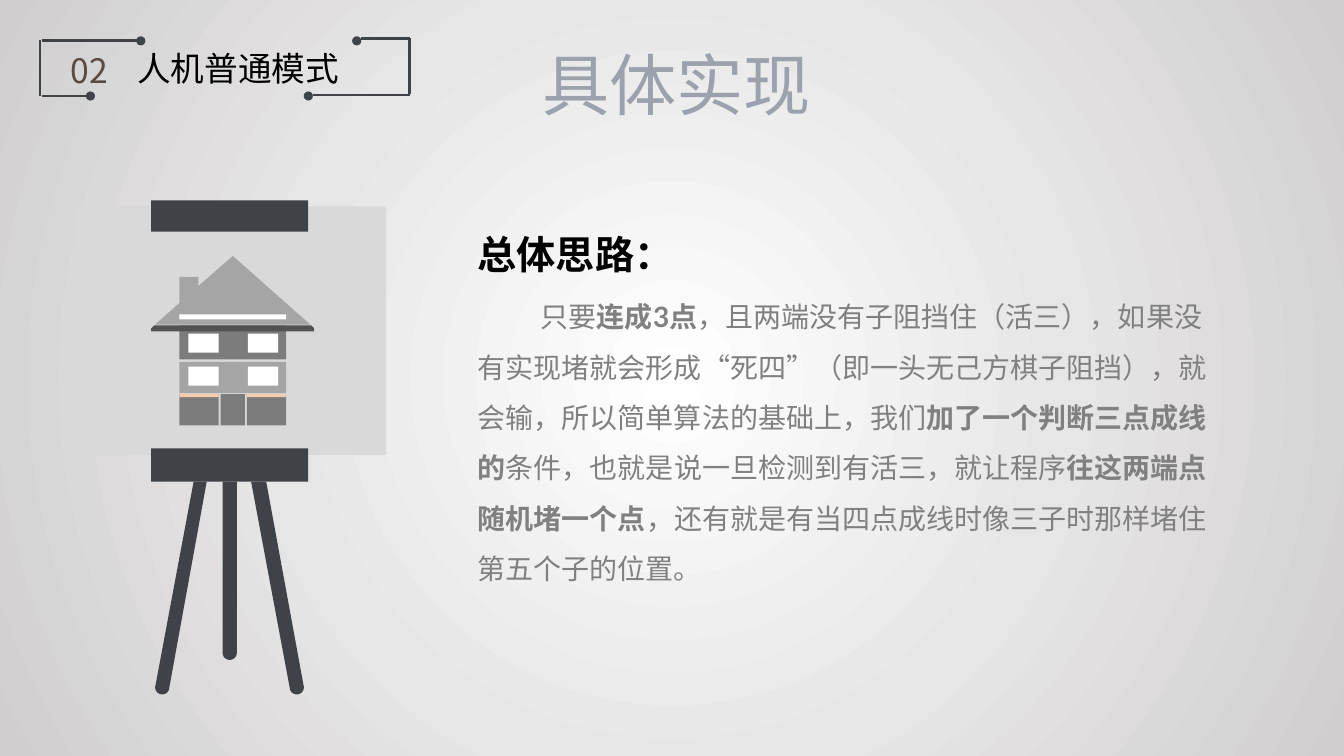
import math
from dataclasses import dataclass

import pptx
import pptx.dml.color
import pptx.enum.lang
import pptx.enum.shapes
import pptx.oxml
import pptx.oxml.ns
import pptx.util
from lxml import etree

Cm = pptx.util.Cm
Pt = pptx.util.Pt
SHAPE = pptx.enum.shapes.MSO_SHAPE


@dataclass(frozen=True)
class Theme:
    dark: str = "3F4247"
    panel: str = "D9D9D9"
    wall: str = "7C7C7C"
    light_wall: str = "A5A5A5"
    eave: str = "525252"
    trim: str = "F8CBAD"
    white: str = "FFFFFF"
    black: str = "000000"
    title: str = "9BA1AD"
    body: str = "808080"
    number: str = "594A42"
    backdrop: tuple = ((0, "FFFFFF"), (51, "E7E6E6"), (100, "D0CECE"))
    title_size: int = 48
    heading_size: int = 28
    label_size: int = 24
    body_size: int = 20
    title_font: str = "Arial"
    body_font: str = "Lato"
    label_font: str = "Noto Sans CJK SC"


T = Theme()


def rgb(color):
    return pptx.dml.color.RGBColor.from_string(color)


def paint(sp, color):
    sp.shadow.inherit = False
    sp.fill.solid()
    sp.fill.fore_color.rgb = rgb(color)
    sp.line.fill.background()
    return sp


def add_block(s, x, y, w, h, color, kind=SHAPE.RECTANGLE):
    return paint(s.shapes.add_shape(kind, Cm(x), Cm(y), Cm(w), Cm(h)), color)


def add_outline(s, x, y, points, color):
    points = [(Cm(x + px), Cm(y + py)) for px, py in points]
    builder = s.shapes.build_freeform(*points[0])
    builder.add_line_segments(points[1:], close=True)
    return paint(builder.convert_to_shape(), color)


def add_line(s, x1, y1, x2, y2):
    line = s.shapes.add_connector(
        pptx.enum.shapes.MSO_CONNECTOR.STRAIGHT, Cm(x1), Cm(y1), Cm(x2), Cm(y2))
    line.line.color.rgb = rgb(T.dark)
    line.line.width = Pt(1.5)
    etree.SubElement(line._element.spPr, pptx.oxml.ns.qn("a:effectLst"))


def add_run(p, text, size, color, font, bold=False):
    r = p.add_run()
    r.text = text
    r.font.size = Pt(size)
    r.font.bold = bold
    r.font.name = font
    r.font.color.rgb = rgb(color)
    r.font.language_id = pptx.enum.lang.MSO_LANGUAGE_ID.SIMPLIFIED_CHINESE


def add_frame(s, x, y, w, h, wrap=True):
    tf = s.shapes.add_textbox(Cm(x), Cm(y), Cm(w), Cm(h)).text_frame
    tf.word_wrap = wrap
    tf.margin_left = tf.margin_right = tf.margin_top = tf.margin_bottom = 0
    return tf


def add_background(s):
    s.background.fill.gradient()
    stops = "".join(
        f'<a:gs pos="{pos * 1000}"><a:srgbClr val="{color}"/></a:gs>'
        for pos, color in T.backdrop)
    grad = pptx.oxml.parse_xml(
        f'<a:gradFill {pptx.oxml.ns.nsdecls("a")} rotWithShape="1">'
        f'<a:gsLst>{stops}</a:gsLst><a:path path="circle">'
        '<a:fillToRect l="50000" t="50000" r="50000" b="50000"/>'
        '</a:path></a:gradFill>')
    bg_pr = s._element.cSld.bg.bgPr
    bg_pr.replace(bg_pr[0], grad)


def add_section_label(s, x, y, w, h, number, label):
    for x1, y1, x2, y2 in (
            (2.46, 0.05, 0.05, 0.05), (0, 0.05, 0, h), (0.05, h, 1.24, h),
            (6.88, 1.42, w, 1.42), (w, 1.4, w, 0), (w, 0, 8.1, 0)):
        add_line(s, x + x1, y + y1, x + x2, y + y2)
    dot = 0.23
    for cx, cy in ((2.55, 0.06), (1.28, h), (6.77, h), (7.99, 0.06)):
        add_block(s, x + cx - dot / 2, y + cy - dot / 2, dot, dot, T.dark, SHAPE.OVAL)
    for text, left, top, width, color in (
            (number, 0.79, 0.28, 1.02, T.number), (label, 2.46, 0.25, 5.1, T.black)):
        tf = add_frame(s, x + left, y + top, width, 1.02, wrap=False)
        add_run(tf.paragraphs[0], text, T.label_size, color, T.label_font)


def add_title(s, x, y, w, h, text):
    tf = add_frame(s, x, y, w, h)
    add_run(tf.paragraphs[0], text, T.title_size, T.title, T.title_font)


def add_leg(s, x, y, left, right, foot, length):
    radius = 0.18
    sole = [(foot + radius * math.cos(math.radians(a)),
             length - radius + radius * math.sin(math.radians(a)))
            for a in range(0, 181, 15)]
    add_outline(s, x, y, [(left, 0), (right, 0)] + sole, T.dark)


def add_house(s, x, y, w):
    wall_x, wall_w = 0.71, 2.69
    add_block(s, x + wall_x, y + 1.75, wall_w, 0.86, T.wall)
    eave = add_block(s, x, y + 1.75, w, 0.15, T.eave, SHAPE.SNIP_2_SAME_RECTANGLE)
    eave.adjustments[0] = 0.5
    add_block(s, x + wall_x, y + 2.67, wall_w, 0.79, T.light_wall)
    for row in (1.96, 2.79):
        for col in (0.94, 2.44):
            add_block(s, x + col, y + row, 0.76, 0.48, T.white)
    add_block(s, x + 1.75, y + 3.48, 0.61, 0.79, T.wall)
    for col in (wall_x, 2.41):
        add_block(s, x + col, y + 3.48, 0.99, 0.79, T.wall)
        add_block(s, x + col, y + 3.48, 0.99, 0.08, T.trim)
    roof = [(2.06, 0), (4.01, 1.73), (0.1, 1.73), (wall_x, 1.19),
            (wall_x, 0.53), (1.19, 0.53), (1.19, 0.76)]
    add_outline(s, x, y, roof, T.light_wall)
    add_block(s, x + wall_x, y + 1.47, wall_w, 0.13, T.white)


def add_easel(s, x, y, w):
    add_block(s, x, y + 0.15, w, 6.27, T.panel)
    for top, height in ((0, 0.79), (6.25, 0.84)):
        add_block(s, x + 1.93, y + top, 3.96, height, T.dark)
    for left, right, foot, length in (
            (4.45, 4.83, 5.6, 5.36), (3, 3.33, 2.21, 5.36), (3.73, 4.09, 3.91, 4.49)):
        add_leg(s, x, y + 7.09, left, right, foot, length)
    add_house(s, x + 1.93, y + 1.4, 4.11)


def add_idea(s, x, y, w, h, heading, parts):
    tf = add_frame(s, x, y, w, h)
    p = tf.paragraphs[0]
    p.line_spacing = 1.5
    add_run(p, heading, T.heading_size, T.black, T.body_font, bold=True)
    p = tf.add_paragraph()
    p.line_spacing = 1.5
    p.space_before = Pt(4)
    p._p.get_or_add_pPr().set("indent", str(Cm(1.59)))
    for text, bold in parts:
        add_run(p, text, T.body_size, T.body, T.body_font, bold=bold)


def main():
    prs = pptx.Presentation()
    prs.slide_width, prs.slide_height = Cm(33.87), Cm(19.05)
    s = prs.slides.add_slide(prs.slide_layouts[6])
    add_background(s)
    add_idea(s, 12.04, 5.21, 18.85, 11.8, "总体思路：", (
        ("只要", False),
        ("连成3点", True),
        ("，且两端没有子阻挡住（活三），如果没有实现堵就会形成“死四”"
         "（即一头无己方棋子阻挡），就会输，所以简单算法的基础上，我们", False),
        ("加了一个判断三点成线的", True),
        ("条件，也就是说一旦检测到有活三，就让程序", False),
        ("往这两端点随机堵一个点", True),
        ("，还有就是有当四点成线时像三子时那样堵住第五个子的位置。", False)))
    add_title(s, 13.67, 1.09, 13.84, 2.06, "具体实现")
    add_easel(s, 1.88, 5.05, 7.85)
    add_section_label(s, 1, 0.97, 9.32, 1.45, "02", "人机普通模式")
    prs.save("out.pptx")


if __name__ == "__main__":
    main()
